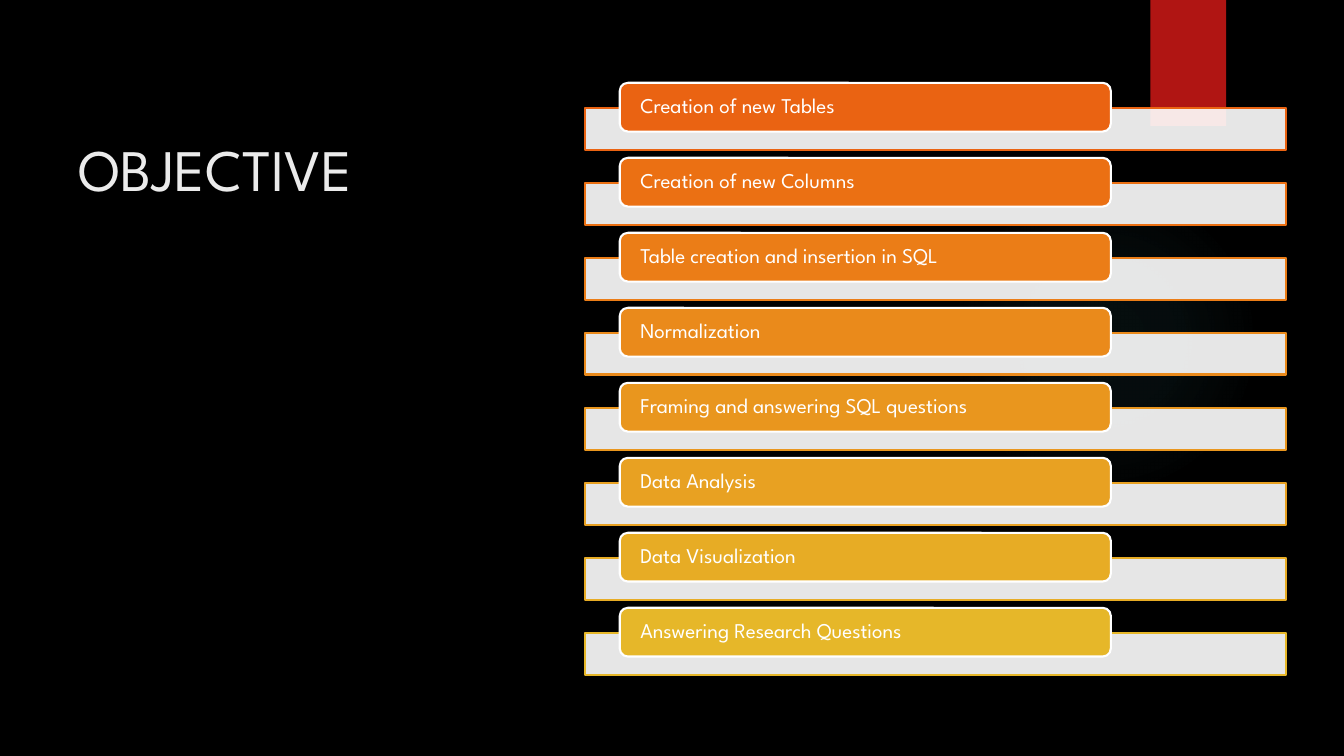
import pptx
import pptx.dml.color
import pptx.enum.shapes
import pptx.enum.text
import pptx.oxml
import pptx.oxml.ns
import pptx.util

Pt = pptx.util.Pt
SHAPES = pptx.enum.shapes.MSO_SHAPE
ALIGN = pptx.enum.text.PP_ALIGN
ANCHOR = pptx.enum.text.MSO_ANCHOR
qn = pptx.oxml.ns.qn


def color(hex_string):
    return pptx.dml.color.RGBColor.from_string(hex_string)


class SlideBuilder:
    font = "League Spartan"
    white = "FFFFFF"
    line_width = 1.5

    def __init__(self, slide):
        self.slide = slide

    def background(self, fill):
        self.slide.background.fill.solid()
        self.slide.background.fill.fore_color.rgb = color(fill)

    def shape(self, kind, box, fill=None, line=None, opacity=100):
        shape = self.slide.shapes.add_shape(kind, *map(Pt, box))
        shape.shadow.inherit = False
        if fill:
            shape.fill.solid()
            shape.fill.fore_color.rgb = color(fill)
        else:
            shape.fill.background()
        if opacity < 100:
            tint = shape._element.spPr.find(qn("a:solidFill")).find(qn("a:srgbClr"))
            tint.append(self.alpha(opacity))
        if line:
            shape.line.color.rgb = color(line)
            shape.line.width = Pt(self.line_width)
        else:
            shape.line.fill.background()
        return shape

    def alpha(self, percent):
        return pptx.oxml.parse_xml(
            f'<a:alpha {pptx.oxml.ns.nsdecls("a")} val="{percent * 1000}"/>')

    def glow(self, box, tint, stops):
        glow = self.shape(SHAPES.OVAL, box)
        stop_xml = "".join(
            f'<a:gs pos="{position * 1000}"><a:srgbClr val="{tint}">'
            f'<a:alpha val="{opacity * 1000}"/></a:srgbClr></a:gs>'
            for position, opacity in stops)
        gradient = pptx.oxml.parse_xml(
            f'<a:gradFill {pptx.oxml.ns.nsdecls("a")}><a:gsLst>{stop_xml}</a:gsLst>'
            '<a:path path="circle"><a:fillToRect l="50000" t="50000" r="50000" b="50000"/>'
            '</a:path></a:gradFill>')
        properties = glow._element.spPr
        properties.replace(properties.find(qn("a:noFill")), gradient)

    def add_text(self, frame, text, size, text_color):
        frame.word_wrap = True
        paragraph = frame.paragraphs[0]
        paragraph.alignment = ALIGN.LEFT
        run = paragraph.add_run()
        run.text = text
        run.font.name = self.font
        run.font.size = Pt(size)
        run.font.color.rgb = color(text_color)
        return paragraph

    def title(self, box, text):
        frame = self.slide.shapes.add_textbox(*map(Pt, box)).text_frame
        frame.vertical_anchor = ANCHOR.TOP
        self.add_text(frame, text, 42, "EBEBEB")

    def objective(self, top, text, accent):
        # Pale band, with the label overlapping its upper edge
        self.shape(SHAPES.RECTANGLE, (417.6, top + 17.7, 501.2, 30),
                   self.white, accent, opacity=90)
        label = self.shape(SHAPES.ROUNDED_RECTANGLE, (442.7, top, 350.8, 34.8),
                           accent, self.white)
        frame = label.text_frame
        frame.margin_left = frame.margin_right = Pt(13)
        frame.margin_top = frame.margin_bottom = 0
        frame.vertical_anchor = ANCHOR.MIDDLE
        self.add_text(frame, text, 15, self.white).line_spacing = 0.9


OBJECTIVES = [
    ("Creation of new Tables", "EA6312"),
    ("Creation of new Columns", "EB7013"),
    ("Table creation and insertion in SQL", "EB7D17"),
    ("Normalization", "EA8A1B"),
    ("Framing and answering SQL questions", "E9961E"),
    ("Data Analysis", "E8A122"),
    ("Data Visualization", "E7AC25"),
    ("Answering Research Questions", "E6B729"),
]
FIRST_TOP = 59.2
STEP = 53.57


def main():
    deck = pptx.Presentation()
    deck.slide_width, deck.slide_height = Pt(960), Pt(540)
    builder = SlideBuilder(deck.slides.add_slide(deck.slide_layouts[6]))

    # Backdrop: glow and red ribbon
    builder.background("000000")
    builder.glow((677.5, 131.8, 221.8, 221.8), "50B9C1", [(0, 7), (36, 6), (69, 0)])
    builder.shape(SHAPES.RECTANGLE, (821.8, 0, 54, 90), "B01513")

    # Title
    builder.title((49, 91.4, 283.7, 355), "OBJECTIVE")

    # List of objectives
    for index, (text, accent) in enumerate(OBJECTIVES):
        builder.objective(FIRST_TOP + index * STEP, text, accent)

    deck.save("out.pptx")


if __name__ == "__main__":
    main()
